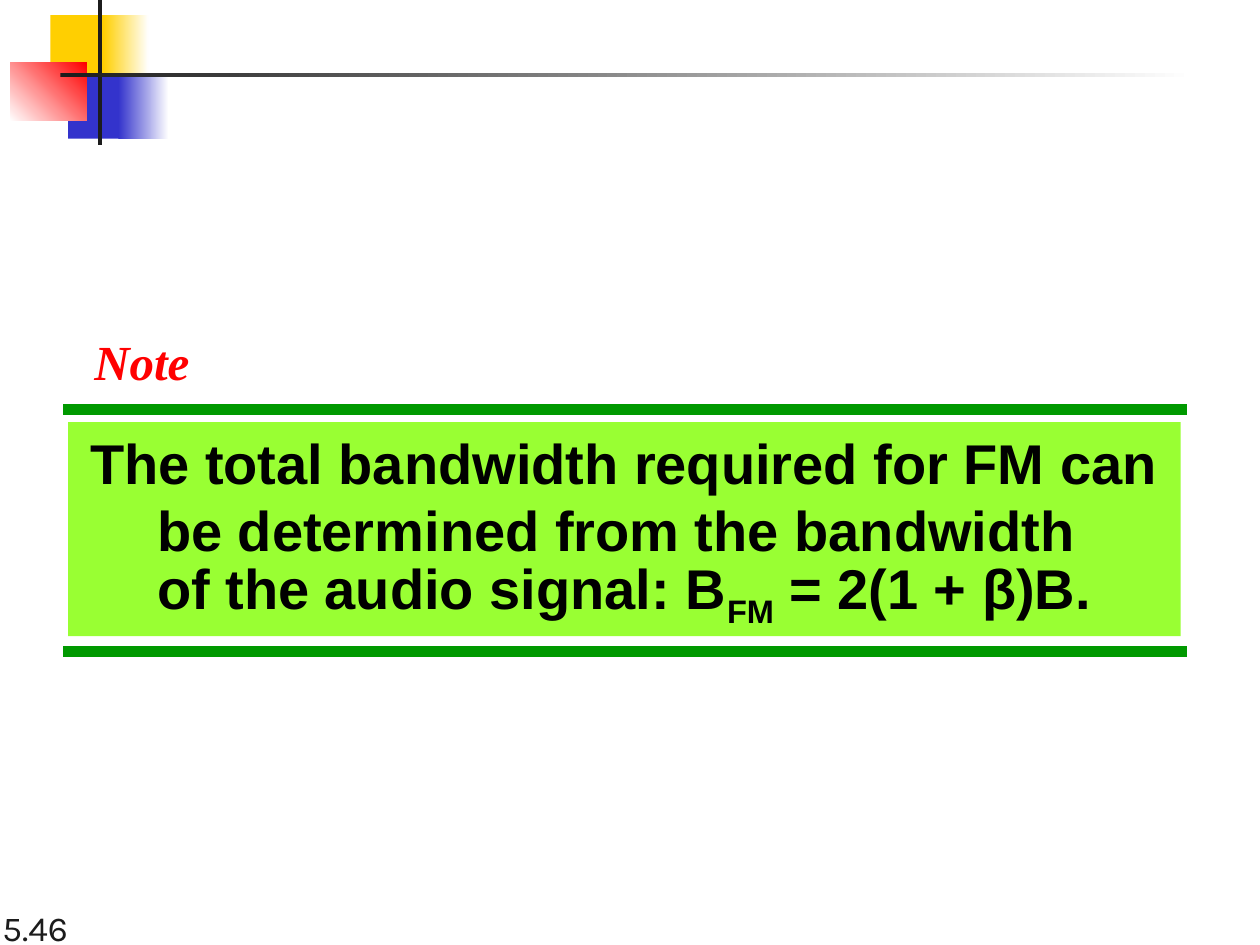
"""Build a note slide stating the FM bandwidth formula."""
from dataclasses import dataclass

from lxml import etree
from pptx import Presentation
from pptx.dml.color import RGBColor
from pptx.enum.shapes import MSO_CONNECTOR, MSO_SHAPE
from pptx.enum.text import MSO_ANCHOR, PP_ALIGN
from pptx.oxml.ns import qn
from pptx.util import Pt

RECT = MSO_SHAPE.RECTANGLE
STRAIGHT = MSO_CONNECTOR.STRAIGHT
TOP, BOTTOM = MSO_ANCHOR.TOP, MSO_ANCHOR.BOTTOM
LEFT, CENTER = PP_ALIGN.LEFT, PP_ALIGN.CENTER


@dataclass
class Theme:
    """Colours and text formats of the slide."""

    white: str = "FFFFFF"
    black: str = "000000"
    dark: str = "1C1C1C"
    yellow: str = "FFCF01"
    blue: str = "3333CC"
    red: str = "FF0000"
    green: str = "009900"
    lime: str = "99FF33"

    def formats(self, kind):
        """Return the font values of a kind of text."""
        return {
            "number": dict(name="Karla", size=Pt(20), color=self.dark),
            "label": dict(name="Times New Roman", size=Pt(28), color=self.red,
                          bold=True, italic=True),
            "statement": dict(name="Arial", size=Pt(32), color=self.black, bold=True),
        }[kind]


class Builder:
    """Draws elements on the current slide in one style."""

    def __init__(self, prs, theme):
        """Add a blank slide."""
        self.t = theme
        self.s = prs.slides.add_slide(prs.slide_layouts[6])

    def rect(self, box, color, end=None, angle=0):
        """Add a rectangle, plain or fading to an end colour."""
        sp = self.s.shapes.add_shape(RECT, *map(Pt, box))
        sp.shadow.inherit = False
        sp.line.fill.background()
        if end is None:
            sp.fill.solid()
            sp.fill.fore_color.rgb = RGBColor.from_string(color)
        else:
            sp.fill.gradient()
            sp.fill.gradient_angle = angle
            for stop, c in zip(sp.fill.gradient_stops, (color, end)):
                stop.color.rgb = RGBColor.from_string(c)
        return sp

    def rule(self, x1, x2, y, color, width):
        """Add a horizontal line."""
        ln = self.s.shapes.add_connector(STRAIGHT, Pt(x1), Pt(y), Pt(x2), Pt(y))
        ln.line.color.rgb = RGBColor.from_string(color)
        ln.line.width = Pt(width)
        etree.SubElement(ln._element.spPr, qn("a:effectLst"))

    def fill_text(self, sp, runs, kind, align=LEFT, anchor=TOP, wrap=True, spacing=None):
        """Fill a shape with one paragraph of (text, baseline) runs."""
        tf = sp.text_frame
        tf.word_wrap, tf.vertical_anchor = wrap, anchor
        p = tf.paragraphs[0]
        p.alignment, p.line_spacing = align, spacing
        for text, baseline in runs:
            for i, part in enumerate(text.split("\n")):
                if i:
                    p.add_line_break()
                r = p.add_run()
                r.text = part
                for key, value in self.t.formats(kind).items():
                    if key == "color":
                        r.font.color.rgb = RGBColor.from_string(value)
                    else:
                        setattr(r.font, key, value)
                if baseline:
                    r.font._element.set("baseline", str(baseline * 1000))

    def text(self, box, text, kind, **layout):
        """Add a text box."""
        sp = self.s.shapes.add_textbox(*map(Pt, box))
        self.fill_text(sp, [(text, 0)], kind, **layout)


def main():
    """Build and save the slide."""
    prs = Presentation()
    prs.slide_width, prs.slide_height = Pt(720), Pt(540)
    t = Theme()
    b = Builder(prs, t)

    b.text((-5.76, 509.76, 149.76, 36), "5.46", "number", anchor=BOTTOM)

    b.rect((28.8, 8.64, 34.56, 37.44), t.yellow)
    b.rect((59.04, 8.64, 25.92, 37.44), t.yellow, t.white)
    b.rect((38.88, 41.76, 33.12, 37.44), t.blue)
    b.rect((67.68, 41.76, 28.8, 37.44), t.blue, t.white)
    b.rect((5.76, 36, 43.92, 33.12), t.white, t.red, angle=45)
    b.rect((56.16, 0, 2.16, 82.8), t.dark)
    b.rect((34.56, 41.76, 648, 2.16), t.dark, t.white)

    for y in (234, 372.24):
        b.rule(36, 678.24, y, t.green, 6)
    panel = b.rect((38.88, 241.2, 635.76, 122.4), t.lime)
    b.fill_text(panel, [
        ("The total bandwidth required for FM can be determined from the bandwidth \n"
         "of the audio signal: B", 0),
        ("FM", -25),
        (" = 2(1 + β)B.", 0),
    ], "statement", align=CENTER, spacing=Pt(38.4))
    b.text((46.8, 185.76, 69.12, 41.04), "Note", "label", wrap=False)

    prs.save("out.pptx")


if __name__ == "__main__":
    main()
